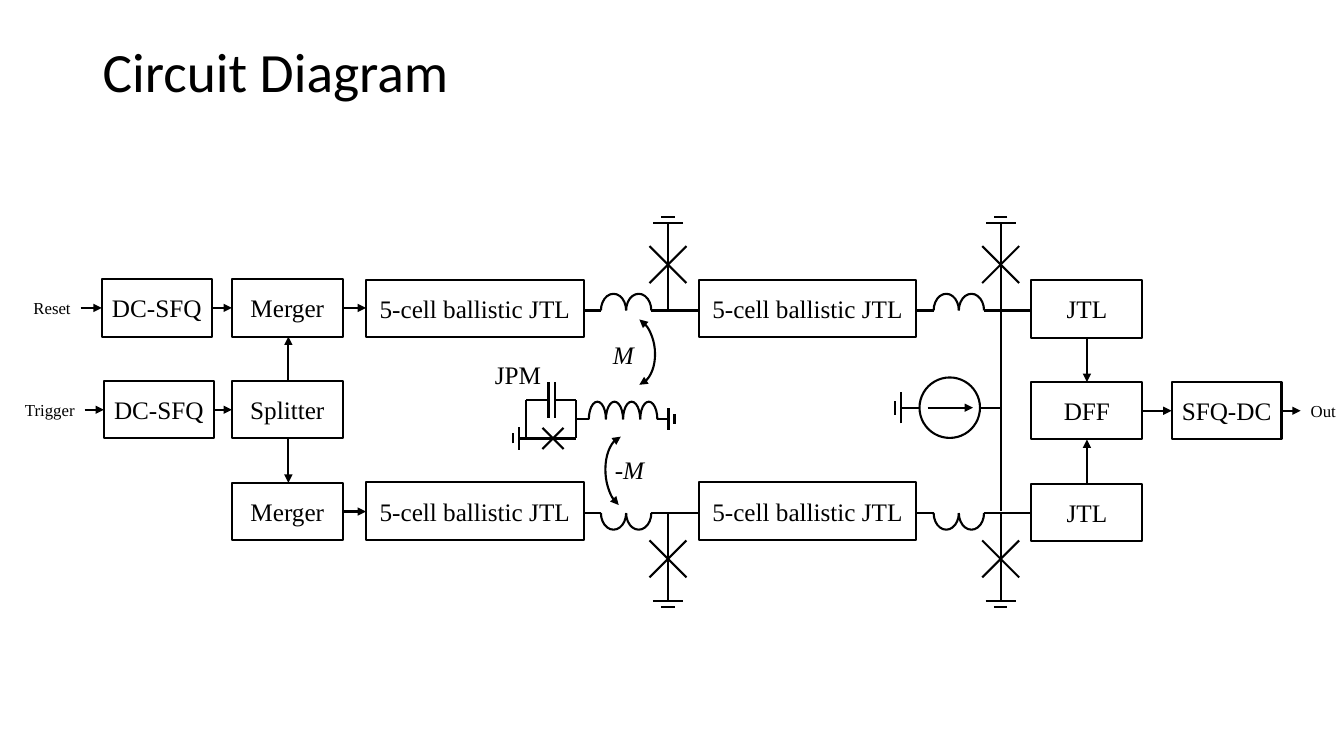
from dataclasses import dataclass
from typing import Any

from lxml.etree import SubElement
from pptx import Presentation
from pptx.dml.color import RGBColor
from pptx.enum.shapes import MSO_CONNECTOR as Wire, MSO_SHAPE as Preset
from pptx.enum.text import MSO_ANCHOR as Anchor, PP_ALIGN as Align
from pptx.oxml.ns import qn
from pptx.util import Inches, Pt


@dataclass(frozen=True)
class Theme:
    """Colours, fonts, type sizes and the grid cell."""
    ink: RGBColor = RGBColor(0, 0, 0)
    paper: RGBColor = RGBColor(255, 255, 255)
    heading_font: str = "Calibri"
    label_font: str = "Times New Roman"
    heading: float = 39.6
    label: float = 18
    port: float = 12
    stroke: float = 1.5
    cell: int = Inches(0.1)


THEME = Theme()
BLOCK_HEIGHT = 5.7
ROW_PITCH = 10.1
STAGE_PITCH = 33


@dataclass(frozen=True)
class Region:
    """A box on the slide, measured in grid cells."""
    shapes: Any
    left: float
    top: float

    def spot(self, x, y):
        """Return the slide position of a point of the region."""
        return round((self.left + x) * THEME.cell), round((self.top + y) * THEME.cell)

    def box(self, x, y, width, height):
        """Return the slide position and size of a part of the region."""
        return *self.spot(x, y), round(width * THEME.cell), round(height * THEME.cell)


def write_text(frame, text, size=THEME.label, font=THEME.label_font, italic=False,
               align=Align.LEFT, anchor=Anchor.TOP, wrap=False, spacing=1.0, margin=1):
    """Write one formatted paragraph into a text frame."""
    frame.word_wrap = wrap
    frame.vertical_anchor = anchor
    frame.margin_left = frame.margin_right = round(margin * THEME.cell)
    paragraph = frame.paragraphs[0]
    paragraph.alignment = align
    paragraph.line_spacing = spacing
    run = paragraph.add_run()
    run.text = text
    run.font.size, run.font.name, run.font.italic = Pt(size), font, italic
    run.font.color.rgb = THEME.ink


def label(region, text, x, y, width, height, **style):
    """Place a text label."""
    write_text(region.shapes.add_textbox(*region.box(x, y, width, height)).text_frame, text, **style)


def stroke(item, *arrow_ends):
    """Draw an outline in ink with arrowheads at the given ends."""
    item.line.color.rgb = THEME.ink
    item.line.width = Pt(THEME.stroke)
    outline = item.line._get_or_add_ln()
    for end in arrow_ends:
        SubElement(outline, qn(f"a:{end}")).set("type", "triangle")


def wire(region, x1, y1, x2, y2, arrow=False):
    """Draw a straight wire, with an arrow at its end if asked."""
    link = region.shapes.add_connector(Wire.STRAIGHT, *region.spot(x1, y1), *region.spot(x2, y2))
    stroke(link, *(["tailEnd"] if arrow else []))
    SubElement(link._element.spPr, qn("a:effectLst"))


def solid(region, preset, x, y, width, height):
    """Draw a filled, outlined preset shape."""
    body = region.shapes.add_shape(preset, *region.box(x, y, width, height))
    body.shadow.inherit = False
    body.fill.solid()
    body.fill.fore_color.rgb = THEME.paper
    stroke(body)
    return body


def block(region, text, x, y, width):
    """Draw a named circuit block."""
    frame = solid(region, Preset.RECTANGLE, x, y, width, BLOCK_HEIGHT).text_frame
    write_text(frame, text, align=Align.CENTER, anchor=Anchor.MIDDLE, wrap=True, margin=0)


def arc(region, x, y, width, height, start, end, rotation=0, arrow_ends=()):
    """Draw an open arc between two angles in degrees."""
    curve = region.shapes.add_shape(Preset.ARC, *region.box(x, y, width, height))
    curve.shadow.inherit = False
    curve.fill.background()
    curve.adjustments[0], curve.adjustments[1] = start * 0.6, end * 0.6
    curve.rotation = rotation
    stroke(curve, *arrow_ends)


def coil(region, x, y, turns, pitch, height, side=-1):
    """Draw an inductor whose turns rise above or hang below the wire."""
    angles = (180, 0) if side < 0 else (0, 180)
    for turn in range(turns):
        arc(region, x + turn * pitch, y - height / 2, pitch, height, *angles)


def cross(region, x, y, half):
    """Draw the cross of a Josephson junction."""
    for slope in (-1, 1):
        wire(region, x - half, y - slope * half, x + half, y + slope * half)


def ground(region, x, y, dx, dy, half):
    """Draw a long and a short ground bar, stepping in direction dx, dy."""
    for step, reach in ((0, half), (0.6, half * 0.45)):
        cx, cy = x + dx * step, y + dy * step
        wire(region, cx - dy * reach, cy - dx * reach, cx + dy * reach, cy + dx * reach)


def title(region, text):
    """Place the slide title."""
    label(region, text, 0, 0, 115, 6.8, size=THEME.heading, font=THEME.heading_font,
          anchor=Anchor.MIDDLE, wrap=True, spacing=0.9)


def input_stage(region):
    """Draw the reset and trigger inputs with mergers and splitter."""
    mid = BLOCK_HEIGHT / 2
    for row, (port, edge) in enumerate((("Reset", 7), ("Trigger", 7.4))):
        y = row * ROW_PITCH
        label(region, port, edge - 7.3, y + mid - 1.5, 7.3, 3, size=THEME.port, align=Align.RIGHT, wrap=True)
        start = 9.1 + row * 0.2
        wire(region, edge, y + mid, start, y + mid, arrow=True)
        block(region, "DC-SFQ", start, y, 10.9)
        wire(region, start + 10.9, y + mid, 22, y + mid, arrow=True)
    for row, name in enumerate(("Merger", "Splitter", "Merger")):
        y = row * ROW_PITCH
        block(region, name, 22, y, 11)
        if name == "Merger":
            wire(region, 33.1, y + mid, 35.3, y + mid, arrow=True)
    wire(region, 27.6, ROW_PITCH, 27.6, BLOCK_HEIGHT, arrow=True)
    wire(region, 27.6, ROW_PITCH + BLOCK_HEIGHT, 27.6, 2 * ROW_PITCH, arrow=True)


def ballistic_stage(region, side):
    """Draw a JTL block, its inductor and a grounded junction on one side."""
    block(region, "5-cell ballistic JTL", 0, -3.05, 21.6)
    wire(region, 21.6, 0, 23.3, 0)
    coil(region, 23.3, 0, 2, 2.5, 3.3, side)
    wire(region, 28.3, 0, 32.9, 0)
    wire(region, 29.95, 0, 29.95, side * 8.7)
    cross(region, 29.95, side * 4.55, 1.83)
    ground(region, 29.95, side * 8.7, 0, side, 1.5)


def photon_detector(region):
    """Draw the JPM loop and its mutual coupling to both branches."""
    label(region, "JPM", 0.1, 4.2, 6.6, 4)
    label(region, "M", 11.8, 2.2, 4.3, 4, italic=True)
    label(region, "-M", 12, 13.6, 5.1, 4, italic=True)
    for x, end in ((6.4, 4.2), (7.05, 9.1)):
        wire(region, x, 6.9, x, 10.5)
        wire(region, x, 8.7, end, 8.7)
        wire(region, end, 8.7, end, 12.5)
    wire(region, 3.5, 12.5, 9.1, 12.5)
    cross(region, 6.85, 12.5, 1.05)
    ground(region, 3.5, 12.5, -1, 0, 1.1)
    wire(region, 9.1, 10.6, 10.4, 10.6)
    coil(region, 10.4, 10.6, 4, 1.7, 3.5)
    wire(region, 17.2, 10.6, 18.3, 10.6)
    ground(region, 18.3, 10.6, 1, 0, 1.1)
    for x, y, width, height, turn in ((11.4, 1.7, 6.8, 4.3, 84.6), (10.5, 13.8, 7.2, 4.1, 266.3)):
        arc(region, x, y, width, height, 196.43, 355.09, turn, ("headEnd", "tailEnd"))


def current_source(region):
    """Draw the current source feeding the bus between the branches."""
    centre = 9.45
    wire(region, 10.5, 0, 10.5, 19.7)
    wire(region, 8.4, centre, 10.5, centre)
    solid(region, Preset.OVAL, 2.4, centre - 3, 6, 6)
    wire(region, 3.2, centre, 7.7, centre, arrow=True)
    wire(region, 0.6, centre, 2.4, centre)
    ground(region, 0.6, centre, -1, 0, 1.55)


def output_stage(region):
    """Draw the JTLs joining in the DFF and the converted output."""
    mid = ROW_PITCH + BLOCK_HEIGHT / 2
    for row, name in enumerate(("JTL", "DFF", "JTL")):
        block(region, name, 0, row * ROW_PITCH, 11)
    wire(region, 5.5, BLOCK_HEIGHT, 5.5, ROW_PITCH, arrow=True)
    wire(region, 5.5, 2 * ROW_PITCH, 5.5, ROW_PITCH + BLOCK_HEIGHT, arrow=True)
    wire(region, 11, mid, 13.9, mid, arrow=True)
    block(region, "SFQ-DC", 13.9, ROW_PITCH, 10.9)
    wire(region, 24.8, mid, 26.7, mid, arrow=True)
    label(region, "Out", 27.7, mid - 1.5, 3.3, 3, size=THEME.port, margin=0)


def main():
    """Build the circuit slide and save it."""
    deck = Presentation()
    deck.slide_width, deck.slide_height = Inches(13.33), Inches(7.5)
    shapes = deck.slides.add_slide(deck.slide_layouts[6]).shapes
    title(Region(shapes, 9.2, 4), "Circuit Diagram")
    input_stage(Region(shapes, 1, 27.7))
    for wire_row, side in ((30.8, -1), (50.9, 1)):
        for stage in range(2):
            ballistic_stage(Region(shapes, 36.3 + stage * STAGE_PITCH, wire_row), side)
    photon_detector(Region(shapes, 48, 31))
    current_source(Region(shapes, 88.8, 31))
    output_stage(Region(shapes, 102.3, 27.8))
    deck.save("out.pptx")


if __name__ == "__main__":
    main()
